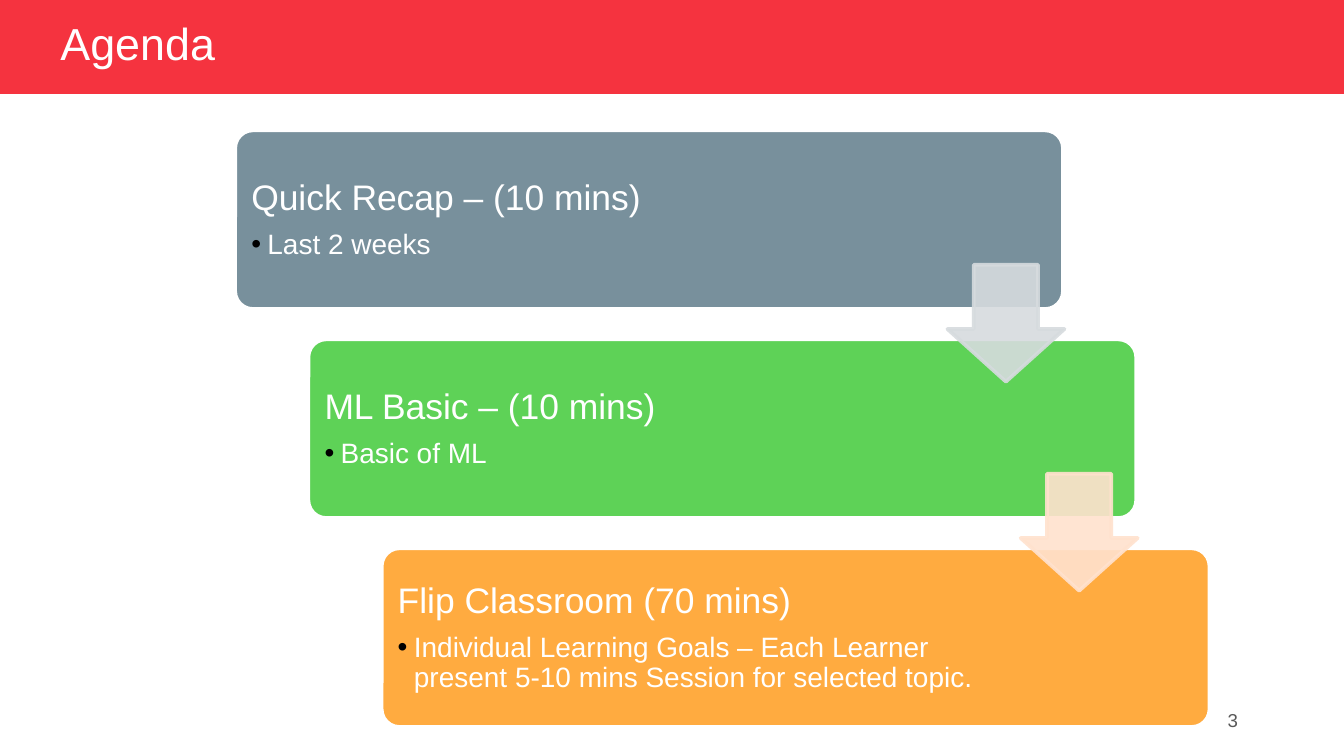
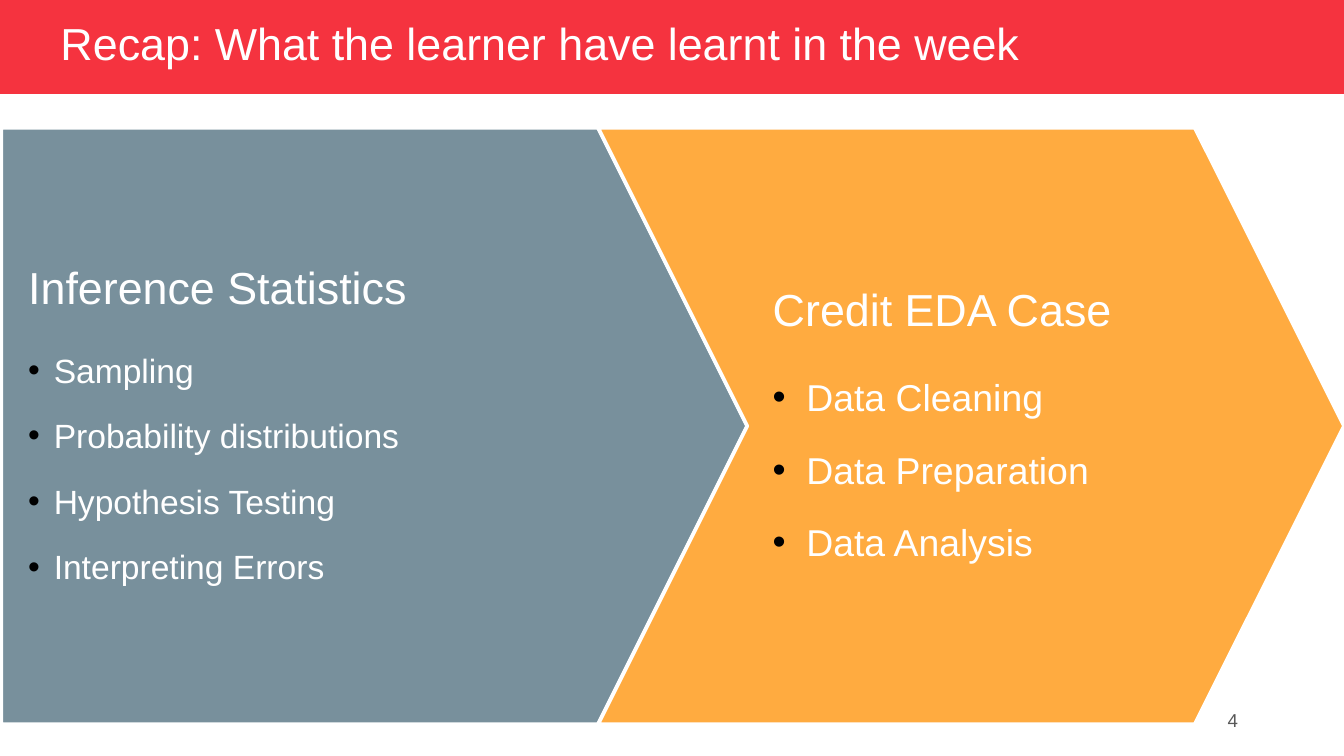
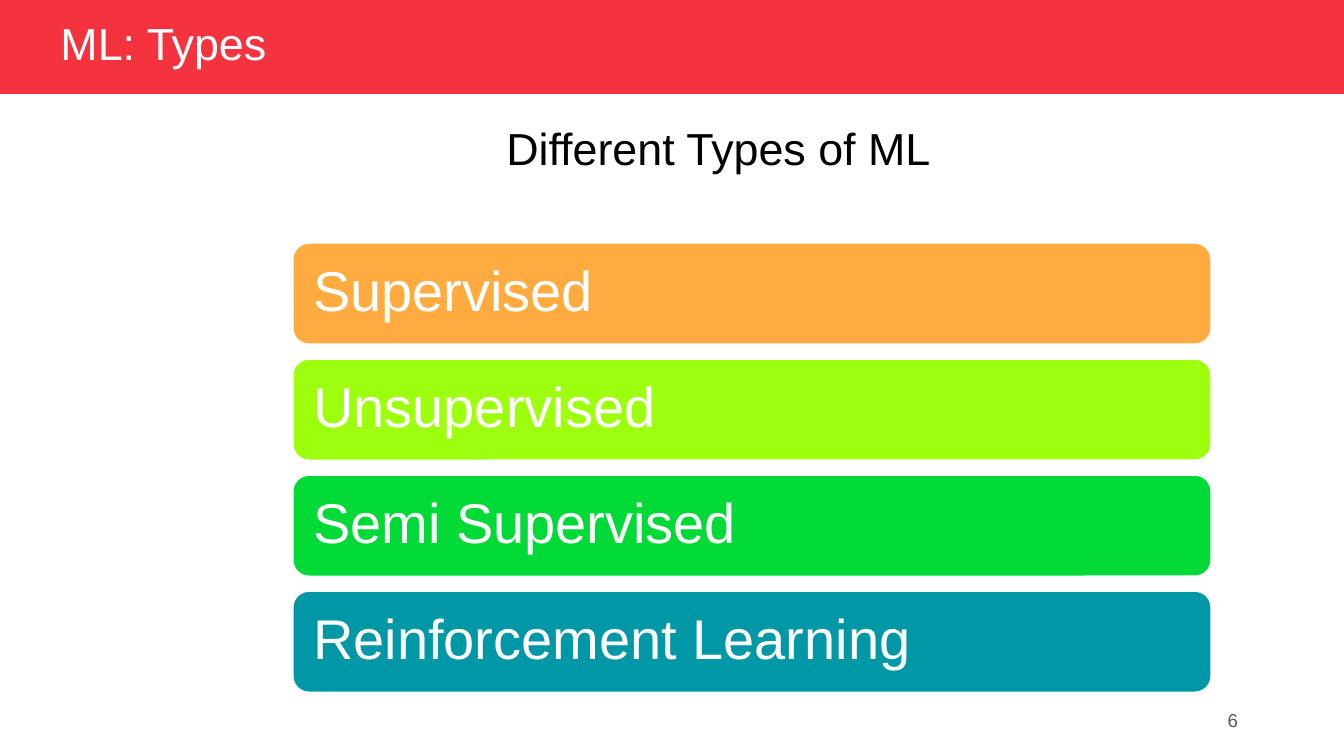
from lxml import etree
from pptx import Presentation
from pptx.dml.color import RGBColor
from pptx.enum.shapes import MSO_SHAPE as SHAPE
from pptx.enum.text import MSO_ANCHOR as ANCHOR, MSO_AUTO_SIZE as AUTO_SIZE, PP_ALIGN as ALIGN
from pptx.oxml.ns import qn
from pptx.util import Inches, Pt

COLORS = {
    "band": "F5333F", "white": "FFFFFF", "black": "000000", "number": "595959",
    "slate": "78909C", "green": "5ED257", "orange": "FFAB40",
    "lime": "9DFF0D", "emerald": "00DA37", "teal": "0097A7",
    "pale_slate": "D6DBDE", "pale_orange": "FFE2CE",
}
FONT = "Arial"
TITLE_ONLY, TITLE_AND_BODY = 5, 1


def rgb(name):
    return RGBColor.from_string(COLORS[name])


def place(item, left, top, width, height):
    item.left, item.top = Inches(left), Inches(top)
    item.width, item.height = Inches(width), Inches(height)


def style_paragraph(paragraph, size, color="white", align=ALIGN.LEFT, spacing=0.9):
    paragraph.font.name = FONT
    paragraph.font.size = Pt(size)
    paragraph.font.color.rgb = rgb(color)
    paragraph.alignment = align
    paragraph.line_spacing = spacing


def set_frame(frame, insets=(0.1, 0.05, 0.1, 0.05), anchor=ANCHOR.MIDDLE):
    frame.word_wrap = True
    frame.auto_size = AUTO_SIZE.NONE
    frame.vertical_anchor = anchor
    (frame.margin_left, frame.margin_top,
     frame.margin_right, frame.margin_bottom) = map(Inches, insets)


def set_indent(paragraph, margin, first_line):
    properties = paragraph._p.get_or_add_pPr()
    properties.set("marL", str(Inches(margin)))
    properties.set("indent", str(Inches(first_line)))
    return properties


def move_font_last(paragraph):
    """Schema order puts spacing and bullets ahead of the run defaults."""
    properties = paragraph._p.get_or_add_pPr()
    defaults = properties.find(qn("a:defRPr"))
    if defaults is not None:
        properties.append(defaults)


def space_after(paragraph, percent):
    after = etree.SubElement(paragraph._p.get_or_add_pPr(), qn("a:spcAft"))
    etree.SubElement(after, qn("a:spcPct"), val=str(percent * 1000))
    move_font_last(paragraph)


def add_bullet(paragraph, indent):
    properties = set_indent(paragraph, indent, -indent)
    bullet_color = etree.SubElement(properties, qn("a:buClr"))
    etree.SubElement(bullet_color, qn("a:srgbClr"), val=COLORS["black"])
    etree.SubElement(properties, qn("a:buFont"), typeface=FONT)
    etree.SubElement(properties, qn("a:buChar"), char="•")
    move_font_last(paragraph)


def add_block(slide, kind, box, color, adjustments=(), line_color="white", opacity=None):
    block = slide.shapes.add_shape(kind, *map(Inches, box))
    block.shadow.inherit = False
    block.fill.solid()
    block.fill.fore_color.rgb = rgb(color)
    block.line.color.rgb = rgb(line_color)
    block.line.width = Pt(2)
    for index, value in enumerate(adjustments):
        block.adjustments[index] = value
    if opacity is not None:
        for paint in block._element.spPr.iter(qn("a:srgbClr")):
            etree.SubElement(paint, qn("a:alpha"), val=str(opacity * 1000))
    return block


def add_label(slide, box, insets, heading, heading_size,
              points=(), point_size=None, indent=0, spacing=0.9):
    """Heading with an optional bulleted list under it."""
    frame = slide.shapes.add_textbox(*map(Inches, box)).text_frame
    set_frame(frame, insets)
    title = frame.paragraphs[0]
    title.text = heading
    style_paragraph(title, heading_size)
    space_after(title, 35)
    for point in points:
        item = frame.add_paragraph()
        item.text = point
        item.level = 1
        style_paragraph(item, point_size, spacing=spacing)
        space_after(item, 15)
        add_bullet(item, indent)


def add_band(prs, slide):
    """Draw the title band and move it to the master, behind everything."""
    band = add_block(slide, SHAPE.RECTANGLE, (0, 0, 10, 0.7), "band")
    band.line.fill.background()
    prs.slide_master.shapes._spTree.insert(2, band._element)


def start_slide(prs, layout, title, number, title_width=4.09):
    slide = prs.slides.add_slide(prs.slide_layouts[layout])
    heading = slide.shapes.title
    place(heading, 0.35, 0.13, title_width, 0.42)
    heading.text_frame.text = title
    set_frame(heading.text_frame)
    style_paragraph(heading.text_frame.paragraphs[0], 24)

    page = slide.shapes.add_textbox(*map(Inches, (7.06, 5.21, 2.25, 0.3))).text_frame
    page.text = str(number)
    set_frame(page)
    style_paragraph(page.paragraphs[0], 10, "number", ALIGN.RIGHT, 1.0)
    return slide


def build_agenda(prs):
    slide = start_slide(prs, TITLE_ONLY, "Agenda", 3)
    add_band(prs, slide)
    steps = [
        ("slate", "Quick Recap – (10 mins)", "Last 2 weeks"),
        ("green", "ML Basic – (10 mins)", "Basic of ML"),
        ("orange", "Flip Classroom (70 mins)",
         "Individual Learning Goals – Each Learner present 5-10 mins "
         "Session for selected topic."),
    ]
    first_left, last_left, first_top, last_top = 1.75, 2.84, 0.97, 4.08
    gaps = len(steps) - 1
    corners = [(first_left + (last_left - first_left) * i / gaps,
                first_top + (last_top - first_top) * i / gaps)
               for i in range(len(steps))]
    for (left, top), (color, heading, detail) in zip(corners, steps):
        add_block(slide, SHAPE.ROUNDED_RECTANGLE, (left, top, 6.16, 1.33), color, [0.1])
        add_label(slide, (left + 0.04, top + 0.04, 4.67, 1.26), [0.08] * 4,
                  heading, 19, [detail], 15, 0.12)

    # Arrows leading from each step to the next
    for (left, top), color in zip(corners, ("pale_slate", "pale_orange")):
        add_block(slide, SHAPE.DOWN_ARROW, (left + 5.3, top + 1, 0.87, 0.87),
                  color, [0.55, 0.45], color, opacity=90)


def build_recap(prs):
    slide = start_slide(prs, TITLE_ONLY,
                        "Recap: What the learner have learnt in the week", 4, 7.44)
    top, width, height = 0.95, 5.55, 4.44
    add_block(slide, SHAPE.PENTAGON, (0.01, top, width, height), "slate", [0.25])
    add_label(slide, (0.01, top, 4.99, height), (0.2, 0.07, 0.78, 0.07),
              "Inference Statistics", 24,
              ["Sampling", "Probability distributions",
               "Hypothesis Testing", "Interpreting Errors"], 18, 0.19, 1.5)
    add_block(slide, SHAPE.CHEVRON, (4.45, top, width, height), "orange", [0.25])
    add_label(slide, (5.55, top, 3.33, height), (0.2, 0.07, 0.2, 0.07),
              "Credit EDA Case", 24,
              ["Data Cleaning", "Data Preparation", "Data Analysis"], 20, 0.25, 1.5)


def build_types(prs):
    slide = start_slide(prs, TITLE_AND_BODY, "ML: Types", 6)
    subtitle = slide.placeholders[1]
    place(subtitle, 1.12, 0.89, 8.2, 0.71)
    subtitle.text_frame.text = "Different Types of ML"
    set_frame(subtitle.text_frame, anchor=ANCHOR.TOP)
    line = subtitle.text_frame.paragraphs[0]
    style_paragraph(line, 24, "black", ALIGN.CENTER)
    line.space_before = Pt(7.5)
    etree.SubElement(set_indent(line, 0.5, -0.25), qn("a:buNone"))
    move_font_last(line)

    types = [("Supervised", "orange"), ("Unsupervised", "lime"),
             ("Semi Supervised", "emerald"), ("Reinforcement Learning", "teal")]
    first_top, last_top = 1.8, 4.39
    for row, (name, color) in enumerate(types):
        top = first_top + (last_top - first_top) * row / (len(types) - 1)
        add_block(slide, SHAPE.ROUNDED_RECTANGLE, (2.17, top, 6.85, 0.77), color)
        add_label(slide, (2.21, top + 0.04, 6.78, 0.69), [0.12] * 4, name, 30)


def main():
    prs = Presentation()
    # Widescreen, 16:9
    prs.slide_width = Inches(10)
    prs.slide_height = prs.slide_width * 9 // 16
    build_agenda(prs)
    build_recap(prs)
    build_types(prs)
    prs.save("out.pptx")


if __name__ == "__main__":
    main()
